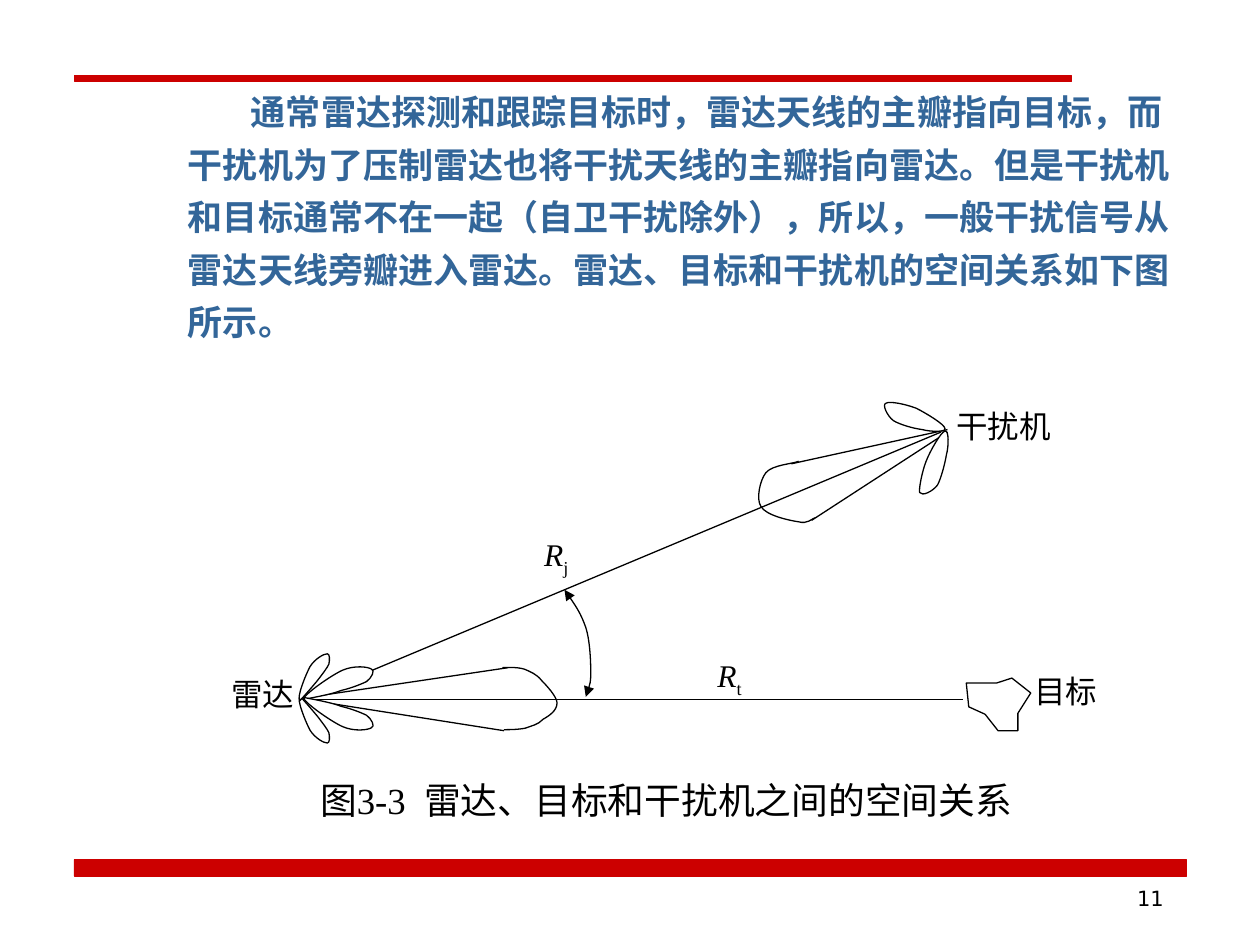
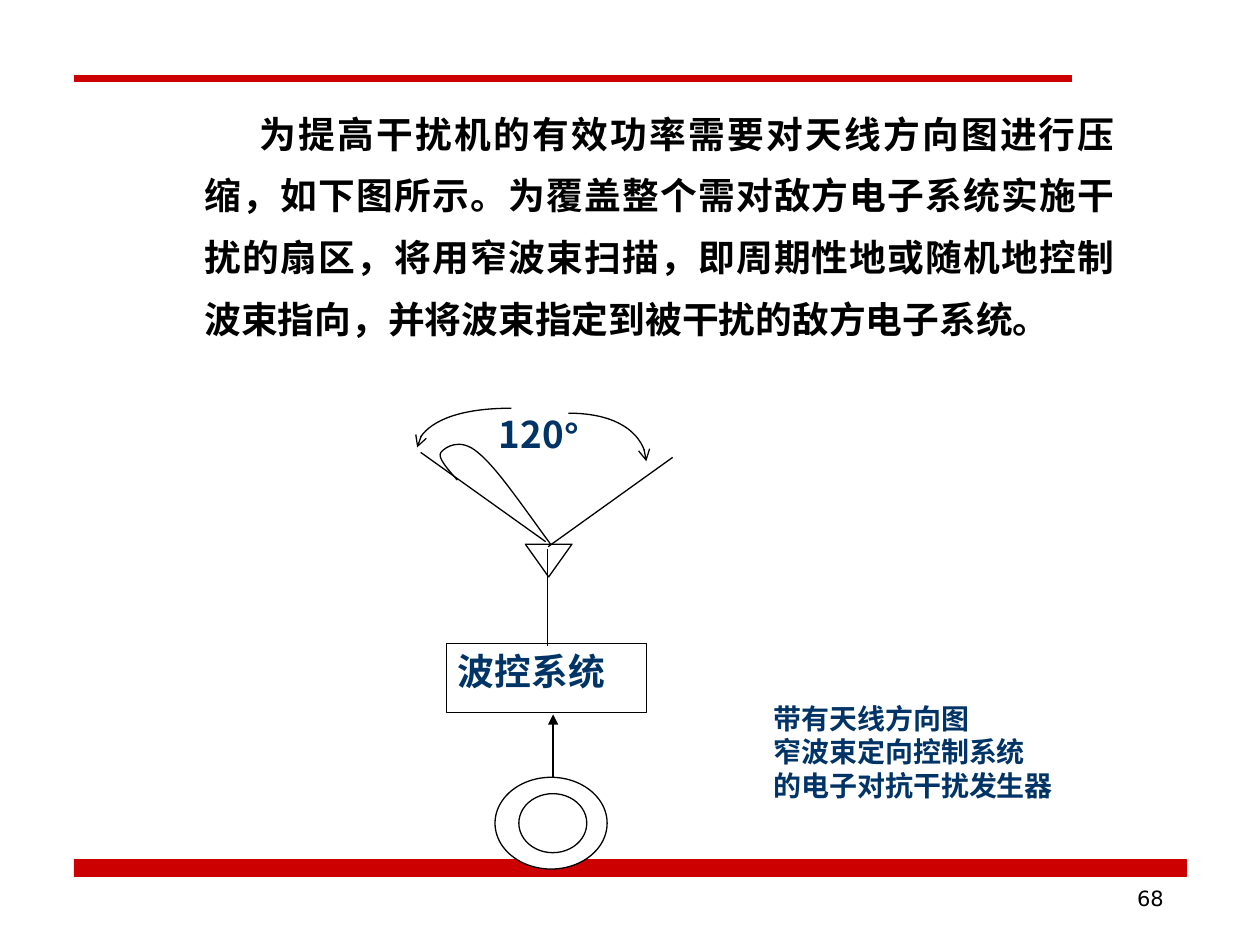
import pptx
import pptx.dml.color
import pptx.enum.shapes
import pptx.enum.text
import pptx.oxml.ns
import pptx.util
from lxml import etree

Cm, Pt = pptx.util.Cm, pptx.util.Pt
RGBColor = pptx.dml.color.RGBColor
SHAPE = pptx.enum.shapes.MSO_SHAPE
ALIGN = pptx.enum.text.PP_ALIGN
ANCHOR = pptx.enum.text.MSO_ANCHOR
qn = pptx.oxml.ns.qn

RED = RGBColor(0xCC, 0x00, 0x00)
STEEL = RGBColor(0x33, 0x66, 0x99)
NAVY = RGBColor(0x00, 0x33, 0x66)
BLACK = RGBColor(0x00, 0x00, 0x00)
WHITE = RGBColor(0xFF, 0xFF, 0xFF)

SERIF, SANS = "Times New Roman", "Noto Sans CJK SC"
NUMBER_FONT, DEGREE_FONT = "DejaVu Sans", "Arial"

# Text formats
LABEL = {"name": SERIF, "size": Pt(18), "color": BLACK}
SYMBOL = {**LABEL, "italic": True}
CAPTION = {"name": SERIF, "size": Pt(21), "color": BLACK}
NUMBER = {"name": NUMBER_FONT, "size": Pt(12), "color": BLACK}
INTRO = {"name": SERIF, "size": Pt(20), "color": STEEL, "bold": True}
STATEMENT = {"name": SANS, "size": Pt(21), "color": BLACK, "bold": True}
BLOCK = {"name": SANS, "size": Pt(21), "color": NAVY, "bold": True}
DEGREE = {**BLOCK, "name": DEGREE_FONT}
NOTE = {**BLOCK, "size": Pt(16)}

# Antenna outlines: a start point, then three points for each curve
RADAR_BEAM_TIP = [
    (10.13, 13.46), (10.19, 13.46), (10.41, 13.44), (10.57, 13.49),
    (10.69, 13.54), (10.82, 13.59), (10.92, 13.72),
    (11.02, 13.82), (11.23, 14.05), (11.23, 14.17),
    (11.23, 14.33), (11.07, 14.43), (10.95, 14.5),
    (10.85, 14.61), (10.72, 14.63), (10.59, 14.68),
    (10.44, 14.71), (10.26, 14.71), (10.16, 14.71)]
JAMMER_BEAM_TIP = [
    (16.1, 9.3), (16, 9.35), (15.57, 9.37), (15.44, 9.53),
    (15.32, 9.68), (15.24, 10.06), (15.34, 10.21),
    (15.44, 10.39), (15.9, 10.49), (16.1, 10.52),
    (16.28, 10.57), (16.36, 10.46), (16.43, 10.44)]
RADAR_WIDE_LOBE = [
    (6.12, 14.1), (6.1, 14.02), (6.68, 13.61), (6.91, 13.51),
    (7.14, 13.41), (7.42, 13.44), (7.49, 13.49),
    (7.57, 13.51), (7.49, 13.67), (7.39, 13.74),
    (7.29, 13.79), (7.09, 13.87), (6.88, 13.92),
    (6.68, 14), (6.27, 14.07), (6.12, 14.1)]
RADAR_NARROW_LOBE = [
    (6.05, 14.12), (5.97, 14.07), (6.17, 13.59), (6.25, 13.44),
    (6.35, 13.28), (6.53, 13.18), (6.6, 13.18),
    (6.65, 13.18), (6.65, 13.31), (6.63, 13.39),
    (6.6, 13.46), (6.5, 13.59), (6.4, 13.72),
    (6.3, 13.84), (6.12, 14.05), (6.05, 14.12)]
JAMMER_UPPER_LOBE = [
    (19.05, 8.64), (19.05, 8.56), (18.67, 8.33), (18.47, 8.23),
    (18.26, 8.15), (17.93, 8.08), (17.86, 8.13),
    (17.78, 8.15), (17.88, 8.38), (18.01, 8.48),
    (18.14, 8.56), (18.42, 8.64), (18.59, 8.66),
    (18.77, 8.71), (19.08, 8.71), (19.05, 8.64)]
JAMMER_LOWER_LOBE = [
    (19.05, 8.69), (18.97, 8.71), (18.75, 9.09), (18.67, 9.3),
    (18.59, 9.5), (18.52, 9.86), (18.54, 9.93),
    (18.59, 10.01), (18.8, 9.91), (18.9, 9.78),
    (18.97, 9.65), (19.05, 9.35), (19.08, 9.17),
    (19.13, 8.99), (19.13, 8.66), (19.05, 8.69)]
ANGLE_ARC = [
    (11.38, 11.89), (11.56, 12.14), (11.71, 12.37), (11.81, 12.65),
    (11.89, 12.9), (11.91, 13.31), (11.91, 13.54),
    (11.91, 13.77), (11.86, 13.92), (11.81, 14.05)]
TARGET = [
    (19.48, 13.77), (20.09, 13.77), (20.4, 13.67), (20.78, 13.97),
    (20.52, 14.38), (20.52, 14.73), (20.12, 14.73), (19.86, 14.4),
    (19.53, 14.25)]
NARROW_BEAM = [
    (11.1, 10.97), (10.54, 10.21), (10.01, 9.42), (9.63, 9.12),
    (9.27, 8.81), (8.97, 9.02), (8.89, 9.12),
    (8.81, 9.22), (9.02, 9.45), (9.22, 9.68)]
SWEEP_LEFT = [(10.31, 8.23), (9.27, 8.23), (8.41, 8.59), (8.41, 9.02)]
SWEEP_RIGHT = [(11.46, 8.33), (12.34, 8.33), (13.03, 8.76), (13.03, 9.3)]
RADAR_AXIS = 14.08


def mirrored(outline):
    """Reflect an outline in the horizontal axis of the radar."""
    return [(x, 2 * RADAR_AXIS - y) for x, y in outline]


def set_outline(part, color=BLACK, width=0.75, head=None, tail=None):
    part.line.color.rgb = color
    part.line.width = Pt(width)
    for tag, arrow in (("a:headEnd", head), ("a:tailEnd", tail)):
        if arrow:
            etree.SubElement(part.line._get_or_add_ln(), qn(tag), type=arrow)


def set_fill(part, color):
    part.shadow.inherit = False
    if color is None:
        part.fill.background()
    else:
        part.fill.solid()
        part.fill.fore_color.rgb = color


def add_line(slide, start, end, **outline):
    ends = [Cm(v) for v in (*start, *end)]
    line = slide.shapes.add_connector(
        pptx.enum.shapes.MSO_CONNECTOR.STRAIGHT, *ends)
    etree.SubElement(line._element.spPr, qn("a:effectLst"))
    set_outline(line, **outline)


def add_preset(slide, kind, box, fill=WHITE, **outline):
    part = slide.shapes.add_shape(kind, *[Cm(v) for v in box])
    set_fill(part, fill)
    set_outline(part, **outline)
    return part


def add_outline(slide, points, fill=None, curved=True, **outline):
    """Draw straight or curved segments; filled outlines are closed."""
    start, *rest = [(Cm(x), Cm(y)) for x, y in points]
    builder = slide.shapes.build_freeform(*start)
    builder.add_line_segments(rest, close=fill is not None)
    part = builder.convert_to_shape()
    if curved:
        segments = part._element.xpath(".//a:path/a:lnTo")
        for first in range(0, len(segments), 3):
            curve = etree.Element(qn("a:cubicBezTo"))
            segments[first].addprevious(curve)
            for segment in segments[first:first + 3]:
                curve.append(segment[0])
                segment.getparent().remove(segment)
    set_fill(part, fill)
    set_outline(part, **outline)


def add_run(paragraph, text, style):
    run = paragraph.add_run()
    run.text = text
    for key, value in style.items():
        if key == "color":
            run.font.color.rgb = value
        else:
            setattr(run.font, key, value)
    latin = run._r.rPr.find(qn("a:latin"))
    latin.addnext(etree.Element(qn("a:ea"), typeface=SANS))


def write(frame, paragraphs, align=ALIGN.JUSTIFY, anchor=ANCHOR.TOP,
          wrap=True, indent=0, spacing=None):
    """Fill a text frame; each paragraph is a list of (text, style)."""
    settings = {"word_wrap": wrap, "vertical_anchor": anchor,
                "margin_left": Cm(0.23), "margin_right": Cm(0.23),
                "margin_top": Cm(0.1), "margin_bottom": Cm(0.1)}
    for key, value in settings.items():
        setattr(frame, key, value)
    for index, runs in enumerate(paragraphs):
        paragraph = frame.add_paragraph() if index else frame.paragraphs[0]
        paragraph.alignment = align
        if spacing:
            paragraph.line_spacing = spacing
        properties = paragraph._p.get_or_add_pPr()
        properties.set("hangingPunct", "0")
        properties.set("indent", str(Cm(indent)))
        for text, style in runs:
            add_run(paragraph, text, style)


def add_text(slide, box, paragraphs, **layout):
    text_box = slide.shapes.add_textbox(*[Cm(v) for v in box])
    write(text_box.text_frame, paragraphs, **layout)
    return text_box


def add_label(slide, left, top, text):
    add_text(slide, (left, top, 2.39, 1.37), [[(text, LABEL)]])


def add_distance(slide, left, top, index):
    label = add_text(slide, (left, top, 2.39, 1.37),
                     [[("R", SYMBOL), (index, LABEL)]])
    subscript = label.text_frame.paragraphs[0].runs[1]
    subscript._r.rPr.set("baseline", "-25000")


def add_framed_slide(deck, number):
    """Start a slide with the red bands and the page number."""
    slide = deck.slides.add_slide(deck.slide_layouts[6])
    add_preset(slide, SHAPE.RECTANGLE, (1.49, 17.33, 22.42, 0.33),
               fill=RED, color=RED, width=0.25)
    add_line(slide, (1.7, 17.53), (23.7, 17.53), color=RED, width=0.25)
    add_preset(slide, SHAPE.RECTANGLE, (1.51, 1.53, 20.1, 0.11),
               fill=RED, color=RED, width=0.5)
    add_text(slide, (18.19, 17.75, 5.5, 1.32), [[(number, NUMBER)]],
             align=ALIGN.RIGHT)
    return slide


def build_geometry_slide(deck):
    slide = add_framed_slide(deck, "11")
    intro = ("通常雷达探测和跟踪目标时，雷达天线的主瓣指向目标，而干扰机为了压制雷达"
             "也将干扰天线的主瓣指向雷达。但是干扰机和目标通常不在一起（自卫干扰除外），"
             "所以，一般干扰信号从雷达天线旁瓣进入雷达。雷达、目标和干扰机的空间关系"
             "如下图所示。")
    add_text(slide, (3.56, 1.51, 20.62, 5.51), [[(intro, INTRO)]],
             align=ALIGN.LEFT, anchor=ANCHOR.MIDDLE, indent=1.27, spacing=1.25)

    # Main beams and lines of sight
    for start, end in (((6.12, 14.07), (10.24, 13.46)),
                       ((6.15, 14.1), (10.16, 14.73)),
                       ((15.95, 9.35), (19.1, 8.66)),
                       ((19.1, 8.71), (16.36, 10.49)),
                       ((18.97, 8.71), (6.1, 14.1)),
                       ((6.22, 14.1), (19.41, 14.1))):
        add_line(slide, start, end)
    for beam_tip in (RADAR_BEAM_TIP, JAMMER_BEAM_TIP):
        add_outline(slide, beam_tip)
    add_outline(slide, TARGET, fill=WHITE, curved=False)
    add_outline(slide, ANGLE_ARC, head="triangle", tail="triangle")

    # Side lobes
    for lobe in (RADAR_WIDE_LOBE, JAMMER_UPPER_LOBE, JAMMER_LOWER_LOBE,
                 mirrored(RADAR_WIDE_LOBE), mirrored(RADAR_NARROW_LOBE),
                 RADAR_NARROW_LOBE):
        add_outline(slide, lobe, fill=WHITE)

    # Labels
    add_label(slide, 4.43, 13.51, "雷达")
    add_label(slide, 19.05, 8.1, "干扰机")
    add_label(slide, 20.62, 13.44, "目标")
    add_distance(slide, 10.74, 10.69, "j")
    add_distance(slide, 14.23, 13.13, "t")

    # Caption, with a widened gap after the figure number
    caption = add_text(slide, (6.05, 15.57, 14.76, 1.12),
                       [[("图3-3", CAPTION), (" ", CAPTION),
                         ("雷达、目标和干扰机之间的空间关系", CAPTION)]],
                       align=ALIGN.CENTER, anchor=ANCHOR.MIDDLE, wrap=False)
    gap = caption.text_frame.paragraphs[0].runs[1]
    gap._r.rPr.set("spc", "525")


def build_beam_control_slide(deck):
    slide = add_framed_slide(deck, "68")
    statement = ("为提高干扰机的有效功率需要对天线方向图进行压缩，如下图所示。"
                 "为覆盖整个需对敌方电子系统实施干扰的扇区，将用窄波束扫描，"
                 "即周期性地或随机地控制波束指向，并将波束指定到被干扰的敌方电子系统。")
    add_text(slide, (3.89, 1.79, 18.82, 6.45), [[(statement, STATEMENT)]],
             indent=1.12, spacing=1.4)

    # Control system and generator
    control = add_preset(slide, SHAPE.RECTANGLE, (9, 12.98, 4.03, 1.39))
    write(control.text_frame, [[("波控系统", BLOCK)]])
    add_preset(slide, SHAPE.OVAL, (9.98, 15.67, 2.26, 1.85))
    add_preset(slide, SHAPE.OVAL, (10.46, 16, 1.37, 1.19))
    add_line(slide, (11.15, 15.67), (11.15, 14.4), tail="triangle")

    # Antenna, sector edges and narrow beam
    add_line(slide, (11.04, 13.03), (11.04, 11.07))
    antenna = add_preset(slide, SHAPE.ISOSCELES_TRIANGLE,
                         (10.59, 10.97, 0.94, 0.66), fill=None)
    antenna.rotation = 180
    add_line(slide, (11, 10.92), (8.48, 9.12))
    add_line(slide, (13.56, 9.22), (11.05, 11.02))
    add_outline(slide, NARROW_BEAM)
    for sweep in (SWEEP_RIGHT, SWEEP_LEFT):
        add_outline(slide, sweep, tail="arrow")

    # Sector angle and side note
    add_text(slide, (9.83, 8.2, 2.51, 1.4), [[("120", BLOCK), ("°", DEGREE)]])
    note = ("带有天线方向图", "窄波束定向控制系统", "的电子对抗干扰发生器")
    add_text(slide, (15.37, 14.04, 6.65, 2.9), [[(row, NOTE)] for row in note])


def main():
    deck = pptx.Presentation()
    deck.slide_width, deck.slide_height = Cm(25.4), Cm(19.05)
    build_geometry_slide(deck)
    build_beam_control_slide(deck)
    deck.save("out.pptx")


if __name__ == "__main__":
    main()
